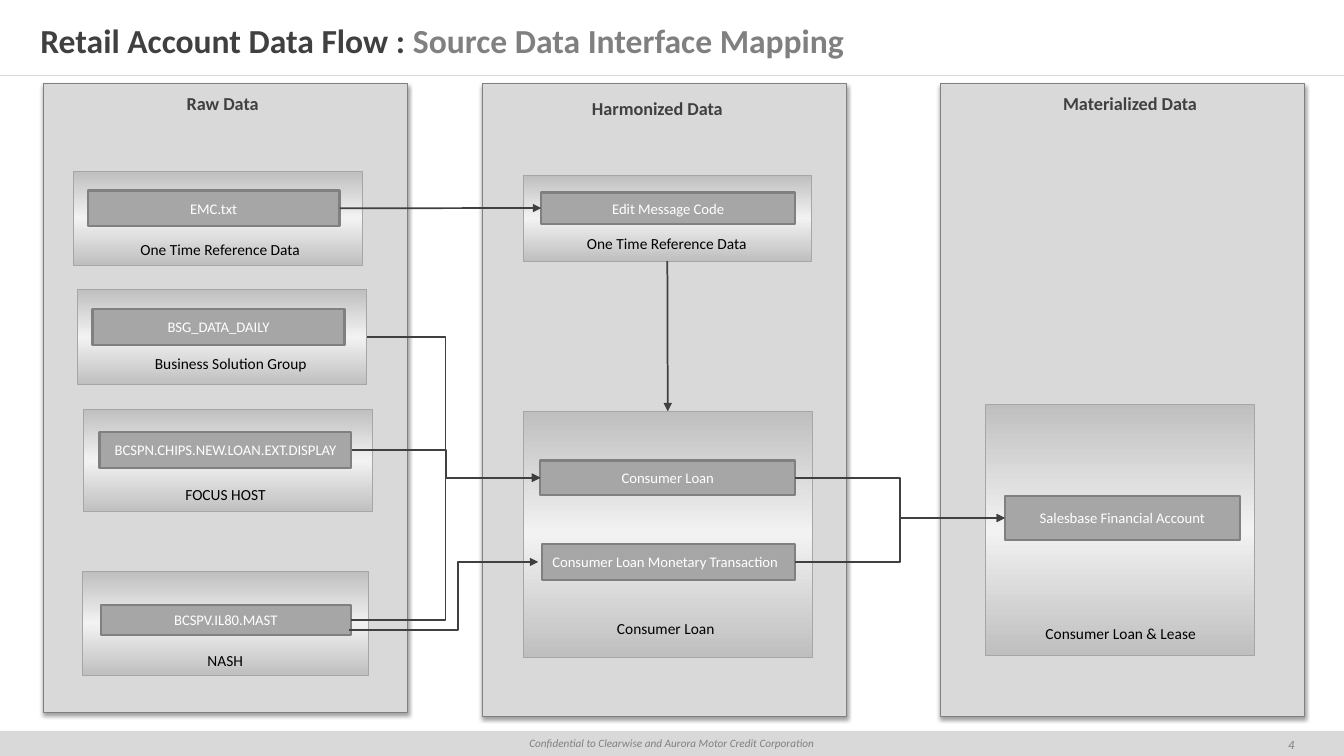
from copy import deepcopy
from dataclasses import dataclass

from pptx import Presentation
from pptx.dml.color import RGBColor
from pptx.enum.shapes import MSO_CONNECTOR, MSO_SHAPE
from pptx.enum.text import MSO_ANCHOR, MSO_AUTO_SIZE, PP_ALIGN
from pptx.oxml import parse_xml
from pptx.oxml.ns import nsdecls, qn
from pptx.util import Pt

RECTANGLE = MSO_SHAPE.RECTANGLE
STRAIGHT, ELBOW = MSO_CONNECTOR.STRAIGHT, MSO_CONNECTOR.ELBOW
LEFT, CENTER = PP_ALIGN.LEFT, PP_ALIGN.CENTER
MIDDLE, TOP = MSO_ANCHOR.MIDDLE, MSO_ANCHOR.TOP
NO_FIT, GROW = MSO_AUTO_SIZE.NONE, MSO_AUTO_SIZE.SHAPE_TO_FIT_TEXT
SITE_TOP, SITE_LEFT, SITE_BOTTOM, SITE_RIGHT = range(4)


@dataclass(frozen=True)
class Theme:
    """Colours and type sizes of the deck."""
    font: str = "Calibri"
    dark: str = "404040"
    grey: str = "808080"
    entity: str = "A6A6A6"
    band: str = "BFBFBF"
    pale: str = "D9D9D9"
    glow: str = "F2F2F2"
    white: str = "FFFFFF"
    black: str = "000000"
    title: float = 24
    heading: float = 13
    caption: float = 11
    label: float = 10.5
    number: float = 9
    footer: float = 8


THEME = Theme()
PAGE_WIDTH, PAGE_HEIGHT = 960, 540
PANEL_TOP, PANEL_WIDTH = 59.8, 260

# Each group: name, box in panel, caption (text, centre, top, width), entities in group.
PANELS = [
    ("Raw Data", 31, 449.3, (38, 2.9), [
        ("emc", (21.6, 62.6, 206.6, 67), ("One Time Reference Data", 104.7, 45.4, 130.3),
         [("EMC.txt", (10, 13.7, 180, 25.2), CENTER)]),
        ("bsg", (24.5, 146.8, 206.6, 68.4), ("Business Solution Group", 109.4, 42.5, 123.8),
         [("BSG_DATA_DAILY", (10.6, 14.4, 180, 25.2), CENTER)]),
        ("focus", (28.6, 232.5, 206.6, 73.4), ("FOCUS HOST", 101.5, 50.4, 72),
         [("BCSPN.CHIPS.NEW.LOAN.EXT.DISPLAY", (11.5, 16.6, 180, 25.2), CENTER)]),
        ("mast", (28, 348.4, 204.5, 74.2), ("NASH", 101.9, 53.3, 42.5),
         [("BCSPV.IL80.MAST", (13, 23.8, 178.6, 21.6), CENTER)]),
    ]),
    ("Harmonized Data", 344.9, 452.2, (34.6, 5.8), [
        ("message", (28.8, 65.5, 206, 61.2), ("One Time Reference Data", 102.6, 38.1, 130.3),
         [("Edit Message Code", (12.9, 12.2, 181.4, 22.3), CENTER)]),
        ("loan", (28.8, 234, 206.6, 175.7), ("Consumer Loan", 101.9, 144.7, 84.2),
         [("Consumer Loan", (12.2, 35.2, 182.2, 24.5), CENTER),
          ("Consumer Loan Monetary Transaction", (13.7, 95, 180.7, 25.2), LEFT)]),
    ]),
    ("Materialized Data", 671.8, 452.2, (45.4, 2.9), [
        ("account", (32.4, 228.9, 192.2, 179.3), ("Consumer Loan & Lease", 96.4, 153.4, 122.4),
         [("Salesbase Financial Account", (13.6, 65.5, 167.8, 31.7), CENTER)]),
    ]),
]


def rgb(code):
    """Turn a hex code into a colour."""
    return RGBColor.from_string(code)


def style(para, size, color, align=CENTER, bold=False, italic=False):
    """Set the font and alignment of a paragraph."""
    para.alignment = align
    font = para.font
    font.name, font.size, font.bold, font.italic = THEME.font, Pt(size), bold, italic
    font.color.rgb = rgb(color)


def write(shape, text, size, color, anchor=MIDDLE, **options):
    """Put one styled line of text into a shape."""
    frame = shape.text_frame
    frame.word_wrap = True
    frame.vertical_anchor = anchor
    frame.text = text
    style(frame.paragraphs[0], size, color, **options)


def add_text(page, box, text, size, color, wrap=True, **options):
    """Add a text box that grows with its text."""
    shape = page.shapes.add_textbox(*map(Pt, box))
    write(shape, text, size, color, anchor=TOP, **options)
    shape.text_frame.auto_size = GROW
    shape.text_frame.word_wrap = wrap


def add_box(page, box, fill, line=None, weight=0):
    """Add a flat rectangle, outlined where a line colour is given."""
    shape = page.shapes.add_shape(RECTANGLE, *map(Pt, box))
    shape.shadow.inherit = False
    shape.fill.solid()
    shape.fill.fore_color.rgb = rgb(fill)
    if line:
        shape.line.color.rgb = rgb(line)
        shape.line.width = Pt(weight)
    else:
        shape.line.fill.background()
    return shape


def shade(shape):
    """Give a shape a vertical gradient that is light in the middle."""
    shape.fill.gradient()
    stops = next(shape.element.iter(qn("a:gsLst")))
    stops.append(deepcopy(stops[0]))
    colors = (THEME.band, THEME.glow, THEME.band)
    for index, (stop, color) in enumerate(zip(shape.fill.gradient_stops, colors)):
        stop.position = index / 2
        stop.color.rgb = rgb(color)
    shape.fill.gradient_angle = 270


def cast_shadow(shape):
    """Add a soft shadow below a shape."""
    shape.element.spPr.find(qn("a:effectLst")).append(parse_xml(
        f'<a:outerShdw {nsdecls("a")} blurRad="{Pt(3.1)}" dist="{Pt(1.6)}" dir="5400000">'
        f'<a:srgbClr val="{THEME.black}"><a:alpha val="38000"/></a:srgbClr></a:outerShdw>'))


def draw_group(page, box, caption, entities):
    """Draw a shaded group with its entities and caption; return group and entities."""
    left, top = box[:2]
    group = add_box(page, box, THEME.band, THEME.entity)
    shade(group)
    shapes = [group]
    for label, (x, y, width, height), align in entities:
        entity = add_box(page, (left + x, top + y, width, height), THEME.entity, THEME.grey, 1.5)
        write(entity, label, THEME.label, THEME.white, align=align)
        shapes.append(entity)
    text, center, y, width = caption
    add_text(page, (left + center - width / 2, top + y, width, 20.9), text,
             THEME.caption, THEME.black, wrap=False)
    return shapes


def draw_panel(page, box, heading, offset, groups):
    """Draw one stage of the flow and return its groups by name."""
    left, top = box[:2]
    cast_shadow(add_box(page, box, THEME.pale, THEME.grey, 0.75))
    add_text(page, (left + offset[0], top + offset[1], 180, 23), heading,
             THEME.heading, THEME.dark, bold=True)
    return {name: draw_group(page, (left + x, top + y, width, height), caption, entities)
            for name, (x, y, width, height), caption, entities in groups}


def add_line(page, start, end, color, weight, kind=STRAIGHT):
    """Add a plain connector without shadow."""
    line = page.shapes.add_connector(kind, *start, *end)
    line.line.color.rgb = rgb(color)
    line.line.width = Pt(weight)
    line.element.spPr.append(parse_xml(f'<a:effectLst {nsdecls("a")}/>'))
    return line


def add_arrow(page, start, end, bend=None):
    """Add an arrow, with an elbow at the given share of its width."""
    arrow = add_line(page, start, end, THEME.dark, 1.25, ELBOW if bend else STRAIGHT)
    properties = arrow.element.spPr
    properties.find(qn("a:ln")).append(parse_xml(f'<a:tailEnd {nsdecls("a")} type="triangle"/>'))
    if bend:
        properties.find(qn("a:prstGeom")).find(qn("a:avLst")).append(parse_xml(
            f'<a:gd {nsdecls("a")} name="adj1" fmla="val {round(bend * 100000)}"/>'))
    return arrow


def join(page, source, target, bend=None, sites=(SITE_RIGHT, SITE_LEFT)):
    """Connect two shapes with an arrow glued to their sides."""
    arrow = add_arrow(page, (source.left + source.width, source.top + source.height // 2),
                      (target.left, target.top + target.height // 2), bend)
    arrow.begin_connect(source, sites[0])
    arrow.end_connect(target, sites[1])


def draw_flow(page, groups):
    """Draw the arrows between the groups and entities."""
    loan_group, loan, transaction = groups["loan"]
    message_group, message = groups["message"]
    mast, account = groups["mast"][1], groups["account"][1]
    join(page, groups["emc"][1], message)
    join(page, message_group, loan_group, sites=(SITE_BOTTOM, SITE_TOP))
    join(page, groups["bsg"][0], loan, 0.454)
    for source, target in ((groups["focus"][1], loan), (mast, loan),
                           (loan, account), (transaction, account)):
        join(page, source, target, 0.5)
    add_arrow(page, (mast.left + mast.width - Pt(1.5), mast.top + Pt(18)),
              (transaction.left - Pt(3), transaction.top + transaction.height // 2), 0.578)


def draw_title(page, box):
    """Place the two-tone title and the rule below it."""
    title = page.shapes.title
    title.left, title.top, title.width, title.height = map(Pt, box)
    frame = title.text_frame
    frame.auto_size, frame.word_wrap, frame.vertical_anchor = NO_FIT, True, MIDDLE
    frame.margin_left = frame.margin_right = Pt(28.8)
    frame.margin_top = frame.margin_bottom = Pt(14.4)
    para = frame.paragraphs[0]
    style(para, THEME.title, THEME.dark, LEFT, bold=True)
    para.add_run().text = "Retail Account Data Flow : "
    span = para.add_run()
    span.text = "Source Data Interface Mapping"
    span.font.color.rgb = rgb(THEME.grey)
    add_line(page, (0, Pt(54)), (Pt(PAGE_WIDTH), Pt(54)), THEME.pale, 0.25)


def draw_footer(page, box):
    """Draw the footer bar with its notice and the page number."""
    left, top, width, height = box
    bar = add_box(page, box, THEME.pale)
    write(bar, "Confidential to Clearwise and Aurora Motor Credit Corporation",
          THEME.footer, THEME.grey, italic=True)
    number = page.shapes.add_textbox(*map(Pt, (left + width - 60, top + 2, 44.6, height - 2)))
    write(number, "4", THEME.number, THEME.grey, italic=True)


def main():
    """Build the deck and save it."""
    deck = Presentation()
    deck.slide_width, deck.slide_height = Pt(PAGE_WIDTH), Pt(PAGE_HEIGHT)
    page = deck.slides.add_slide(deck.slide_layouts.get_by_name("Title Only"))
    draw_footer(page, (0, 522, PAGE_WIDTH, 18))
    draw_title(page, (0, 11.5, PAGE_WIDTH, 34.6))
    groups = {}
    for heading, left, height, offset, content in PANELS:
        box = (left, PANEL_TOP, PANEL_WIDTH, height)
        groups.update(draw_panel(page, box, heading, offset, content))
    draw_flow(page, groups)
    deck.save("out.pptx")


if __name__ == "__main__":
    main()
